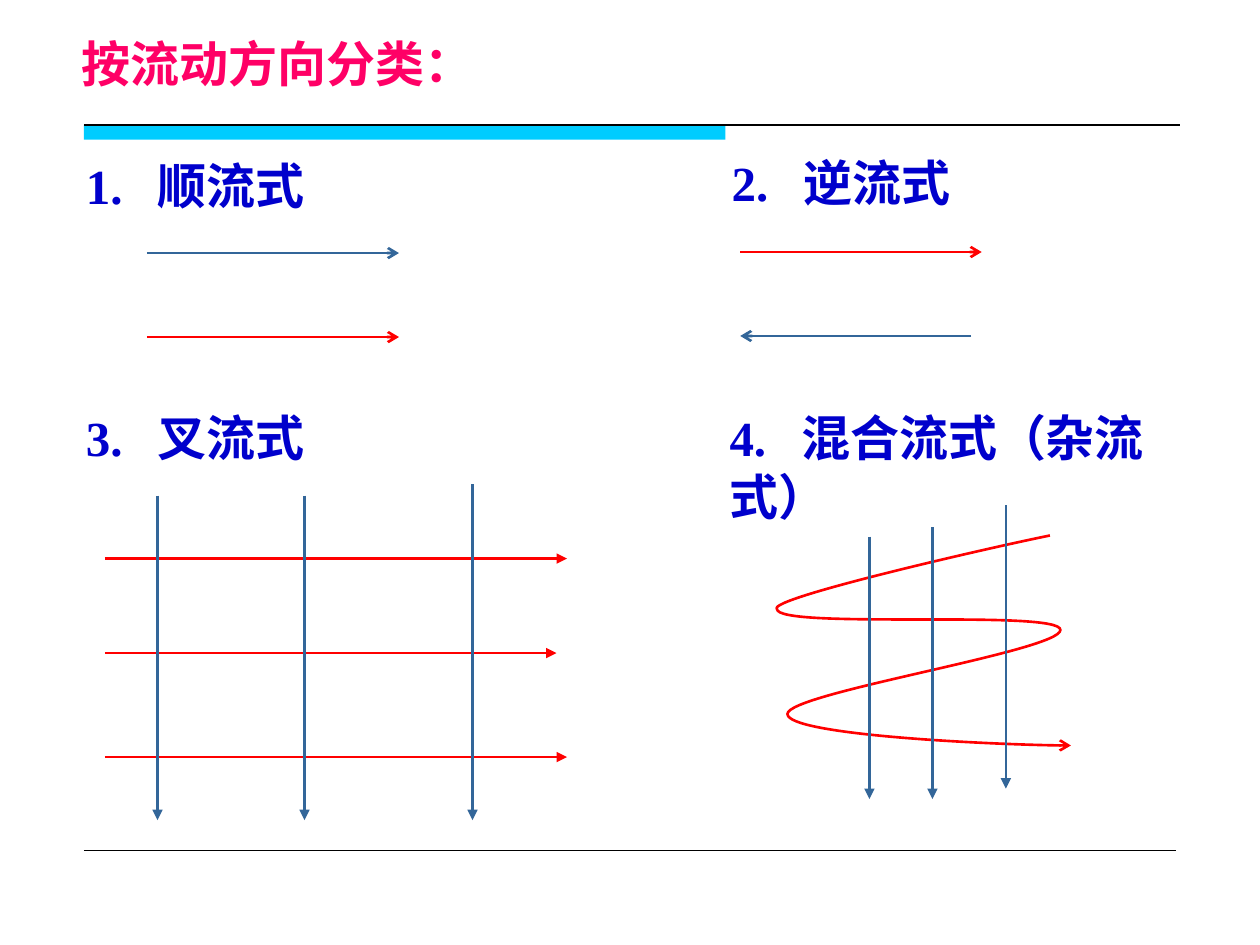
import pptx
import pptx.dml.color
import pptx.enum.shapes
import pptx.enum.text
import pptx.oxml
import pptx.oxml.ns
import pptx.util
import lxml.etree

# The slide is a grid of 120 columns by 90 rows, each cell 1/12 inch
CELL = pptx.util.Inches(1) // 12
COLORS = {"title": "FF0066", "heading": "0000CC", "bar": "00CCFF",
          "rule": "000000", "cold": "336699", "hot": "FF0000"}
NUMBER_TAB = pptx.util.Inches(0.57)


def grid(cells):
    return pptx.util.Emu(round(cells * CELL))


def color(name):
    return pptx.dml.color.RGBColor.from_string(COLORS[name])


def add_child(parent, tag, **attributes):
    child = lxml.etree.SubElement(parent, pptx.oxml.ns.qn(tag))
    for key, value in attributes.items():
        child.set(key, str(value))
    return child


def style_line(line, name, width, arrow=None):
    line.color.rgb = color(name)
    line.width = pptx.util.Pt(width)
    if arrow:
        add_child(line._get_or_add_ln(), "a:tailEnd", type=arrow)


def add_line(page, start, end, name, width=1.5, arrow=None):
    connector = page.shapes.add_connector(
        pptx.enum.shapes.MSO_CONNECTOR.STRAIGHT, *map(grid, start + end))
    style_line(connector.line, name, width, arrow)
    add_child(connector._element.spPr, "a:effectLst")


def add_bar(page, left, top, width, height):
    bar = page.shapes.add_shape(pptx.enum.shapes.MSO_SHAPE.RECTANGLE,
                                *map(grid, (left, top, width, height)))
    bar.shadow.inherit = False
    bar.fill.solid()
    bar.fill.fore_color.rgb = color("bar")
    bar.line.fill.background()


def add_text(page, area, pieces, font, name):
    box = page.shapes.add_textbox(*map(grid, area))
    box.text_frame.word_wrap = True
    para = box.text_frame.paragraphs[0]
    for piece in pieces:
        span = para.add_run()
        span.text = piece
        span.font.name = font
        span.font.size = pptx.util.Pt(28)
        span.font.bold = True
        span.font.color.rgb = color(name)
    return box


def add_heading(page, area, number, words):
    box = add_text(page, area, (number, "\t", words), "Times New Roman", "heading")
    para = box.text_frame.paragraphs[0]
    para.space_before = pptx.util.Pt(17.5)
    tabs = add_child(para._p.get_or_add_pPr(), "a:tabLst")
    add_child(tabs, "a:tab", pos=NUMBER_TAB, algn="l")


def add_curve(page, points, name, arrow):
    """Draw cubic curves: a start point, then three points per curve."""
    builder = page.shapes.build_freeform(*points[0], scale=CELL)
    builder.add_line_segments(points[1:], close=False)
    curve = builder.convert_to_shape()
    curve.shadow.inherit = False
    curve.fill.background()
    style_line(curve.line, name, 1.5, arrow)
    # Gather each three straight steps into one Bezier step
    outline = next(curve._element.iter(pptx.oxml.ns.qn("a:path")))
    steps = outline.findall(pptx.oxml.ns.qn("a:lnTo"))
    for first in range(0, len(steps), 3):
        bezier = add_child(outline, "a:cubicBezTo")
        for step in steps[first:first + 3]:
            bezier.append(step[0])
            outline.remove(step)


def main():
    deck = pptx.Presentation()
    deck.slide_width, deck.slide_height = grid(120), grid(90)
    page = deck.slides.add_slide(deck.slide_layouts[6])

    # Title with its bar and rules
    add_bar(page, 8, 11.9, 61.1, 1.4)
    add_line(page, (8, 11.9), (112.4, 11.9), "rule", 0.75)
    add_line(page, (8, 81), (112, 81), "rule", 0.25)
    title = add_text(page, (6.6, 2.5, 40, 7), ("按流动方向分类：",), "Arial", "title")
    title.text_frame.vertical_anchor = pptx.enum.text.MSO_ANCHOR.MIDDLE

    # Headings of the four flow types
    for area, number, words in (
            ((7, 14.2, 27, 6.8), "1.", "顺流式"),
            ((68.5, 13.9, 28, 6.8), "2.", "逆流式"),
            ((7, 38.2, 38, 6.8), "3.", "叉流式"),
            ((68.3, 38.2, 48, 12.5), "4.", "混合流式（杂流式）")):
        add_heading(page, area, number, words)

    # Parallel flow and counter flow
    for start, end, row, name in ((14, 38, 24.1, "cold"), (14, 38, 32.1, "hot"),
                                  (70.5, 93.5, 24, "hot"), (92.5, 70.5, 32, "cold")):
        add_line(page, (start, row), (end, row), name, arrow="arrow")

    # Cross flow: hot streams across
    for row, end in ((53.2, 54), (62.2, 53), (72.1, 54)):
        add_line(page, (10, row), (end, row), "hot", arrow="triangle")

    # Mixed flow: hot stream winding across
    add_curve(page, [(99.5, 51.2),
                     (95.2, 52.4), (73.3, 56.6), (73.6, 58.1),
                     (73.8, 59.5), (100.8, 58.3), (101, 60),
                     (101.4, 61.7), (75.1, 66.2), (75.1, 68.2),
                     (75.2, 70.1), (96.1, 70.8), (101.6, 71.4)], "hot", "arrow")

    # Cold streams down, in cross flow and mixed flow
    for column, top, bottom in ((15, 47.2, 78.1), (29, 47.2, 78.1), (45, 46.1, 78.1),
                                (82.8, 51.1, 76.1), (88.8, 50.2, 76.1),
                                (95.8, 48.1, 75.1)):
        add_line(page, (column, top), (column, bottom), "cold", arrow="triangle")

    deck.save("out.pptx")


if __name__ == "__main__":
    main()
